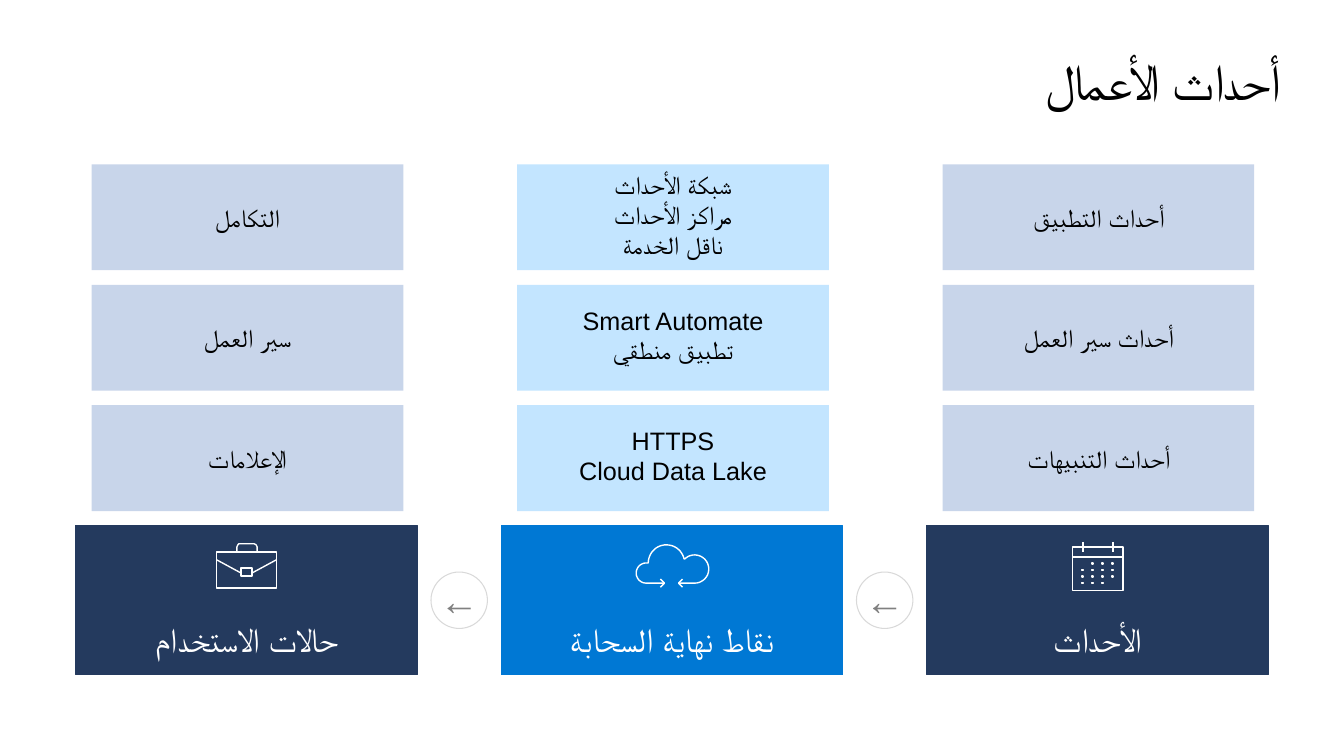
from dataclasses import dataclass
from math import cos, radians, sin

from lxml import etree
from pptx import Presentation
from pptx import util as u
from pptx.dml.color import RGBColor
from pptx.enum import shapes, text
from pptx.oxml import ns

Point = tuple[float, float]
Path = list[Point]

BLACK = RGBColor(0x00, 0x00, 0x00)
WHITE = RGBColor(0xFF, 0xFF, 0xFF)
NAVY = RGBColor(0x24, 0x3A, 0x5E)
BLUE = RGBColor(0x00, 0x78, 0xD4)
PALE = RGBColor(0xC8, 0xD5, 0xEA)
SKY = RGBColor(0xC3, 0xE5, 0xFF)
GRAY = RGBColor(0x80, 0x80, 0x80)
RING = RGBColor(0xD9, 0xD9, 0xD9)

FONT = "Arial"
RECT = shapes.MSO_SHAPE.RECTANGLE
OVAL = shapes.MSO_SHAPE.OVAL
MIDDLE = text.MSO_ANCHOR.MIDDLE
BOTTOM = text.MSO_ANCHOR.BOTTOM
CENTER = text.PP_ALIGN.CENTER
RIGHT = text.PP_ALIGN.RIGHT

# Grid in inches: three columns, three card rows above a base row
LEFT, COL = 0.75, 4.22
TOP, ROW = 1.63, 1.195
BASE_W, BASE_H = 3.39, 1.48
CARD_W, CARD_H = 3.09, 1.05
BASE_Y = TOP + 3 * ROW
INSET = 0.16
DISC = 0.56
UNITS = 1000  # icon units per inch


@dataclass
class Column:
    head: str
    base: RGBColor
    tint: RGBColor
    cards: list[str]
    icon: list[Path]


def write(shape, words: str, *, size: float, color: RGBColor = BLACK,
          align=CENTER, anchor=MIDDLE, pad: Point = (0.1, 0.05),
          lead: float = 1, gap: float = 0, track: int = 0) -> None:
    """Fill a shape with right-to-left text, one paragraph per line."""
    frame = shape.text_frame
    frame.word_wrap = True
    frame.vertical_anchor = anchor
    frame.margin_left = frame.margin_right = u.Inches(pad[0])
    frame.margin_top = frame.margin_bottom = u.Inches(pad[1])
    for i, line in enumerate(words.split("\n")):
        para = frame.add_paragraph() if i else frame.paragraphs[0]
        para.alignment = align
        para.line_spacing = lead
        para.space_before = u.Pt(gap if i else 0)
        para._p.get_or_add_pPr().set("rtl", "1")
        run = para.add_run()
        run.text = line
        run.font.size = u.Pt(size)
        run.font.name = FONT
        run.font.color.rgb = color
        props = run._r.get_or_add_rPr()
        etree.SubElement(props, ns.qn("a:cs"), typeface=FONT)
        if track:
            props.set("spc", str(track))


def block(slide, kind, x: float, y: float, w: float, h: float,
          fill: RGBColor, edge: RGBColor | None = None):
    shape = slide.shapes.add_shape(kind, *map(u.Inches, (x, y, w, h)))
    shape.shadow.inherit = False
    shape.fill.solid()
    shape.fill.fore_color.rgb = fill
    if edge is None:
        shape.line.fill.background()
    else:
        shape.line.color.rgb = edge
        shape.line.width = u.Pt(0.75)
    return shape


def sketch(slide, x: float, y: float, paths: list[Path]) -> None:
    """Draw white open strokes, given in inches from the point x, y."""
    scaled = [[((x + px) * UNITS, (y + py) * UNITS) for px, py in path]
              for path in paths]
    pen = slide.shapes.build_freeform(*scaled[0][0], scale=u.Inches(1) / UNITS)
    for i, path in enumerate(scaled):
        if i:
            pen.move_to(*path[0])
        pen.add_line_segments(path[1:], close=False)
    shape = pen.convert_to_shape()
    shape.shadow.inherit = False
    shape.fill.background()
    shape.line.color.rgb = WHITE
    shape.line.width = u.Pt(1)


def box(x: float, y: float, w: float, h: float) -> Path:
    return [(x, y), (x + w, y), (x + w, y + h), (x, y + h), (x, y)]


def arc(x: float, y: float, r: float, start: int, end: int) -> Path:
    """Points on a circle about x, y; degrees run clockwise from the right."""
    steps = 24
    turns = [radians(start + (end - start) * i / steps)
             for i in range(steps + 1)]
    return [(x + r * cos(t), y + r * sin(t)) for t in turns]


def case() -> list[Path]:
    return [
        box(1.4, 0.26, 0.59, 0.36),
        box(1.64, 0.42, 0.11, 0.08),
        [(1.64, 0.47), (1.4, 0.34)],
        [(1.75, 0.47), (1.99, 0.34)],
        [(1.8, 0.26), (1.8, 0.21), (1.79, 0.19), (1.77, 0.18),
         (1.62, 0.18), (1.61, 0.19), (1.6, 0.21), (1.6, 0.26)],
    ]


def cloud() -> list[Path]:
    outline = [(1.62, 0.57), *arc(1.44, 0.47, 0.1, 90, 270),
               *arc(1.64, 0.37, 0.18, 180, 347),
               *arc(1.92, 0.43, 0.14, 225, 450), (1.76, 0.57)]
    tips = [[(tip + back, 0.53), (tip, 0.57), (tip + back, 0.61)]
            for tip, back in ((1.62, -0.04), (1.76, 0.04))]
    return [outline, *tips]


def dates() -> list[Path]:
    rings = [[(x, 0.16), (x, 0.26)] for x in (1.55, 1.85)]
    weeks = (range(1, 4), range(4), range(4), range(3))
    days = [box(1.54 + 0.1 * day, 0.37 + 0.065 * week, 0.01, 0.01)
            for week, span in enumerate(weeks) for day in span]
    return [box(1.45, 0.21, 0.5, 0.43), [(1.45, 0.31), (1.95, 0.31)],
            *rings, *days]


def stack(slide, x: float, col: Column) -> None:
    """Draw one column: its cards, its base and the icon."""
    for i, words in enumerate(col.cards):
        card = block(slide, RECT, x + INSET, TOP + i * ROW,
                     CARD_W, CARD_H, col.tint)
        write(card, words, size=18, gap=4, lead=0.8 if "\n" in words else 1)
    base = block(slide, RECT, x, BASE_Y, BASE_W, BASE_H, col.base, col.base)
    write(base, col.head, size=24, color=WHITE, anchor=BOTTOM,
          pad=(0.2, 0.16))
    sketch(slide, x, BASE_Y, col.icon)


def main() -> None:
    deck = Presentation()
    deck.slide_width, deck.slide_height = u.Inches(13.33), u.Inches(7.5)
    slide = deck.slides.add_slide(deck.slide_layouts[6])

    title = slide.shapes.add_textbox(*map(u.Inches, (0.64, 0.5, 12.05, 0.61)))
    write(title, "أحداث الأعمال", size=36, align=RIGHT,
          anchor=text.MSO_ANCHOR.TOP, pad=(0, 0), track=-50)

    cols = [
        Column("حالات الاستخدام", NAVY, PALE,
               ["التكامل", "سير العمل", "الإعلامات"], case()),
        Column("نقاط نهاية السحابة", BLUE, SKY,
               ["شبكة الأحداث\nمراكز الأحداث\nناقل الخدمة",
                "Smart Automate\nتطبيق منطقي",
                "HTTPS\nCloud Data Lake"], cloud()),
        Column("الأحداث", NAVY, PALE,
               ["أحداث التطبيق", "أحداث سير العمل", "أحداث التنبيهات"],
               dates()),
    ]
    for i, col in enumerate(cols):
        x = LEFT + i * COL
        stack(slide, x, col)
        if i:
            mid = x - (COL - BASE_W) / 2
            disc = block(slide, OVAL, mid - DISC / 2,
                         BASE_Y + (BASE_H - DISC) / 2, DISC, DISC, WHITE, RING)
            write(disc, "←", size=28, color=GRAY, pad=(0, 0))

    deck.save("out.pptx")


if __name__ == "__main__":
    main()
